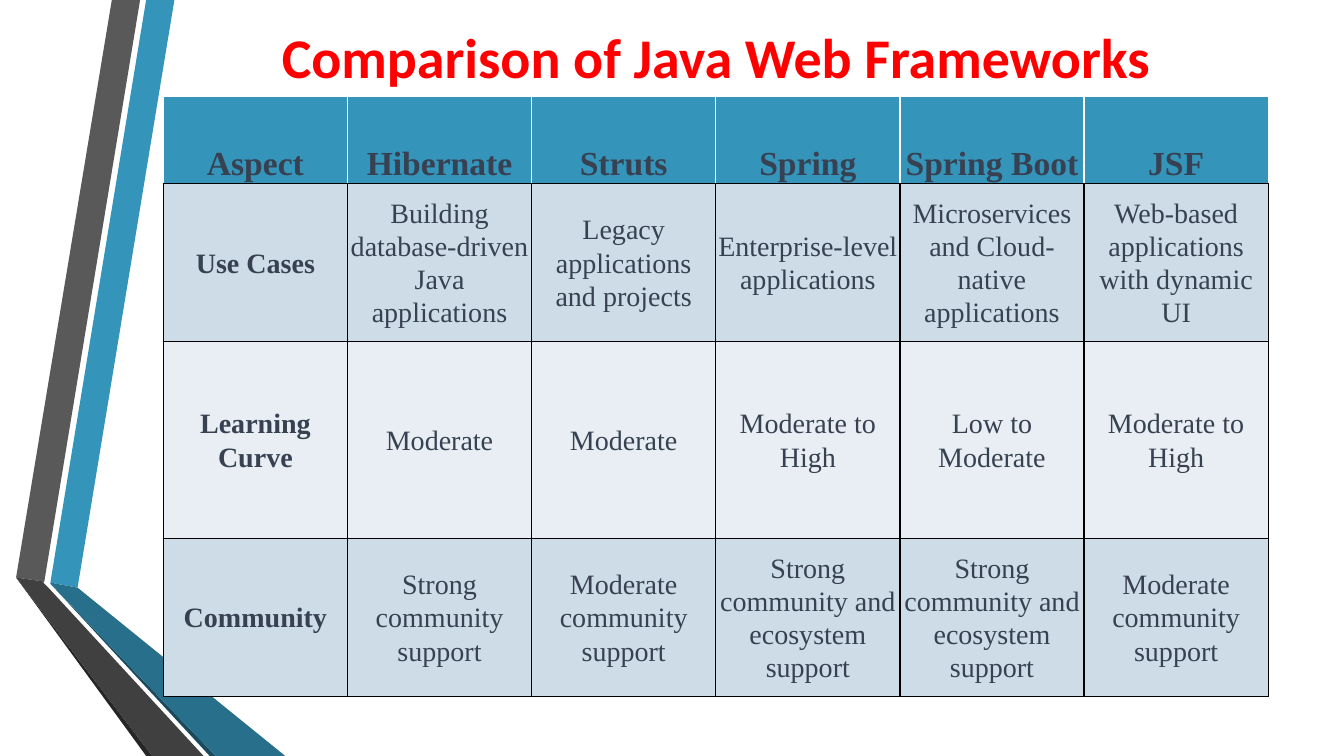
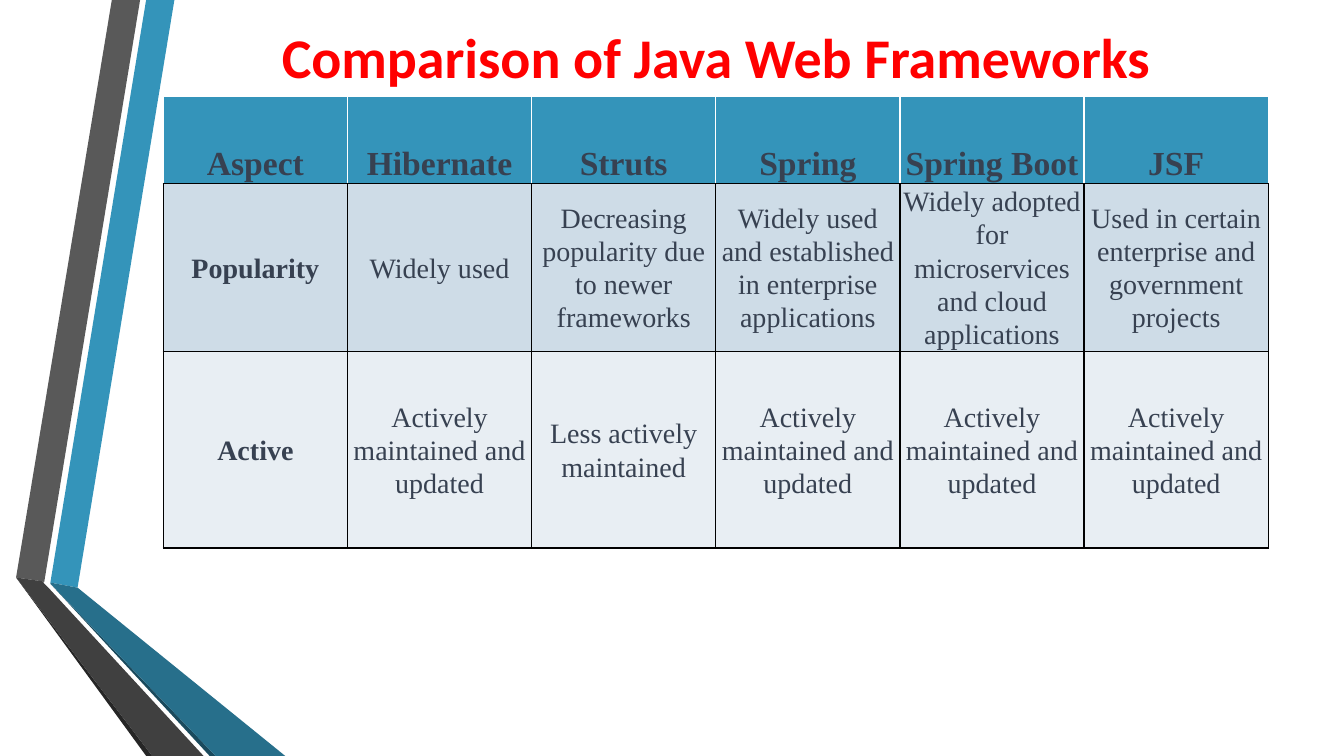
from lxml.etree import SubElement
from pptx import Presentation
from pptx.dml.color import RGBColor
from pptx.enum.text import MSO_ANCHOR as Anchor, PP_ALIGN as Align
from pptx.oxml.ns import qn
from pptx.util import Inches, Pt

BLUE = RGBColor(0x34, 0x94, 0xBA)
DEEP_BLUE = RGBColor(0x27, 0x6F, 0x8B)
DARK_BLUE = RGBColor(0x1A, 0x4A, 0x5D)
GRAY = RGBColor(0x59, 0x59, 0x59)
DEEP_GRAY = RGBColor(0x40, 0x40, 0x40)
DARK_GRAY = RGBColor(0x26, 0x26, 0x26)
RED = RGBColor(0xFF, 0x00, 0x00)
SLATE = RGBColor(0x37, 0x41, 0x51)
WHITE = RGBColor(0xFF, 0xFF, 0xFF)
BLACK = RGBColor(0x00, 0x00, 0x00)
ROW_FILLS = [RGBColor(0xCE, 0xDC, 0xE7), RGBColor(0xE8, 0xEE, 0xF3)]

TITLE = "Comparison of Java Web Frameworks"
HEADINGS = ["Aspect", "Hibernate", "Struts", "Spring", "Spring Boot", "JSF"]
# Each slide is a list of (row height in inches, cell texts)
SLIDES = [
    [
        (1.57, ["Use Cases", "Building database-driven Java applications",
                "Legacy applications and projects",
                "Enterprise-level applications",
                "Microservices and Cloud-native applications",
                "Web-based applications with dynamic UI"]),
        (1.95, ["Learning Curve", "Moderate", "Moderate", "Moderate to High",
                "Low to Moderate", "Moderate to High"]),
        (1.57, ["Community", "Strong community support",
                "Moderate community support",
                "Strong community and ecosystem support",
                "Strong community and ecosystem support",
                "Moderate community support"]),
    ],
    [
        (1.57, ["Popularity", "Widely used",
                "Decreasing popularity due to newer frameworks",
                "Widely used and established in enterprise applications",
                "Widely adopted for microservices and cloud applications",
                "Used in certain enterprise and government projects"]),
        (1.95, ["Active", "Actively maintained and updated",
                "Less actively maintained",
                "Actively maintained and updated",
                "Actively maintained and updated",
                "Actively maintained and updated"]),
    ],
]

# Ribbon outlines in hundredths of an inch, from back to front
RIBBONS = [
    (BLUE, [(50, 578), (77, 583), (173, 0), (145, 0)]),
    (GRAY, [(139, 0), (111, 0), (16, 573), (44, 577)]),
    (DARK_GRAY, [(16, 573), (145, 750), (151, 750)]),
    (DARK_BLUE, [(50, 579), (208, 750), (214, 750)]),
    (DEEP_BLUE, [(50, 579), (214, 750), (283, 750), (77, 583), (50, 578)]),
    (DEEP_GRAY, [(202, 750), (48, 583), (43, 578), (44, 577), (16, 573), (151, 750)]),
]

SLIDE_W, SLIDE_H = 13.33, 7.5
LEFT, WIDTH = 1.62, 10.96
TITLE_TOP, TITLE_H = 0.15, 0.81
TABLE_TOP, HEADER_H = TITLE_TOP + TITLE_H, 0.86
CELL_INSET = 0.01


def write_text(frame, text, size, color, font, bold=False, line=None, gap=None):
    frame.word_wrap = True
    paragraph = frame.paragraphs[0]
    paragraph.alignment = Align.CENTER
    if line:
        paragraph.line_spacing = line
    if gap is not None:
        paragraph.space_before = paragraph.space_after = Pt(gap)
    run = paragraph.add_run()
    run.text = text
    run.font.size, run.font.bold, run.font.name = Pt(size), bold, font
    run.font.color.rgb = color


def add_ribbons(layout, slide):
    """Draw the ribbons on the slide, then move them behind everything on its layout."""
    for order, (color, outline) in enumerate(RIBBONS):
        builder = slide.shapes.build_freeform(*outline[0], scale=Inches(0.01))
        builder.add_line_segments(outline[1:], close=True)
        ribbon = builder.convert_to_shape()
        ribbon.shadow.inherit = False
        ribbon.fill.solid()
        ribbon.fill.fore_color.rgb = color
        ribbon.line.fill.background()
        layout.shapes.element.insert(2 + order, ribbon.element)


def set_borders(cell, **colors):
    properties = cell._tc.get_or_add_tcPr()
    for side in "LRTB":
        edge = SubElement(properties, qn(f"a:ln{side}"), w=str(Pt(1)))
        fill = SubElement(edge, qn("a:solidFill"))
        SubElement(fill, qn("a:srgbClr"), val=str(colors.get(side, BLACK)))


def add_title(slide):
    title = slide.shapes.title
    title.left, title.top = Inches(LEFT), Inches(TITLE_TOP)
    title.width, title.height = Inches(WIDTH), Inches(TITLE_H)
    title.text_frame.vertical_anchor = Anchor.MIDDLE
    write_text(title.text_frame, TITLE, size=40, color=RED, font="Calibri", bold=True)


def add_comparison(slide, aspects):
    rows = [(HEADER_H, HEADINGS)] + aspects
    total = sum(height for height, _ in rows)
    table = slide.shapes.add_table(
        len(rows), len(HEADINGS), Inches(LEFT), Inches(TABLE_TOP),
        Inches(WIDTH), Inches(total)).table
    table.horz_banding = False
    for column in table.columns:
        column.width = Inches(WIDTH / len(HEADINGS))
    for r, (height, texts) in enumerate(rows):
        header = r == 0
        table.rows[r].height = Inches(height)
        for c, text in enumerate(texts):
            cell = table.cell(r, c)
            cell.margin_left = cell.margin_right = Inches(CELL_INSET)
            cell.margin_top = cell.margin_bottom = Inches(CELL_INSET)
            cell.vertical_anchor = Anchor.BOTTOM if header else Anchor.MIDDLE
            set_borders(cell, **(dict.fromkeys("LRT", WHITE) if header else {}))
            cell.fill.solid()
            cell.fill.fore_color.rgb = BLUE if header else ROW_FILLS[(r - 1) % 2]
            write_text(cell.text_frame, text, size=24 if header else 20, color=SLATE,
                       font="Times New Roman", bold=header or c == 0, line=1.07, gap=24)


def main():
    deck = Presentation()
    deck.slide_width, deck.slide_height = Inches(SLIDE_W), Inches(SLIDE_H)
    layout = deck.slide_layouts[5]
    for number, aspects in enumerate(SLIDES):
        slide = deck.slides.add_slide(layout)
        if number == 0:
            add_ribbons(layout, slide)
        add_title(slide)
        add_comparison(slide, aspects)
    deck.save("out.pptx")


if __name__ == "__main__":
    main()
